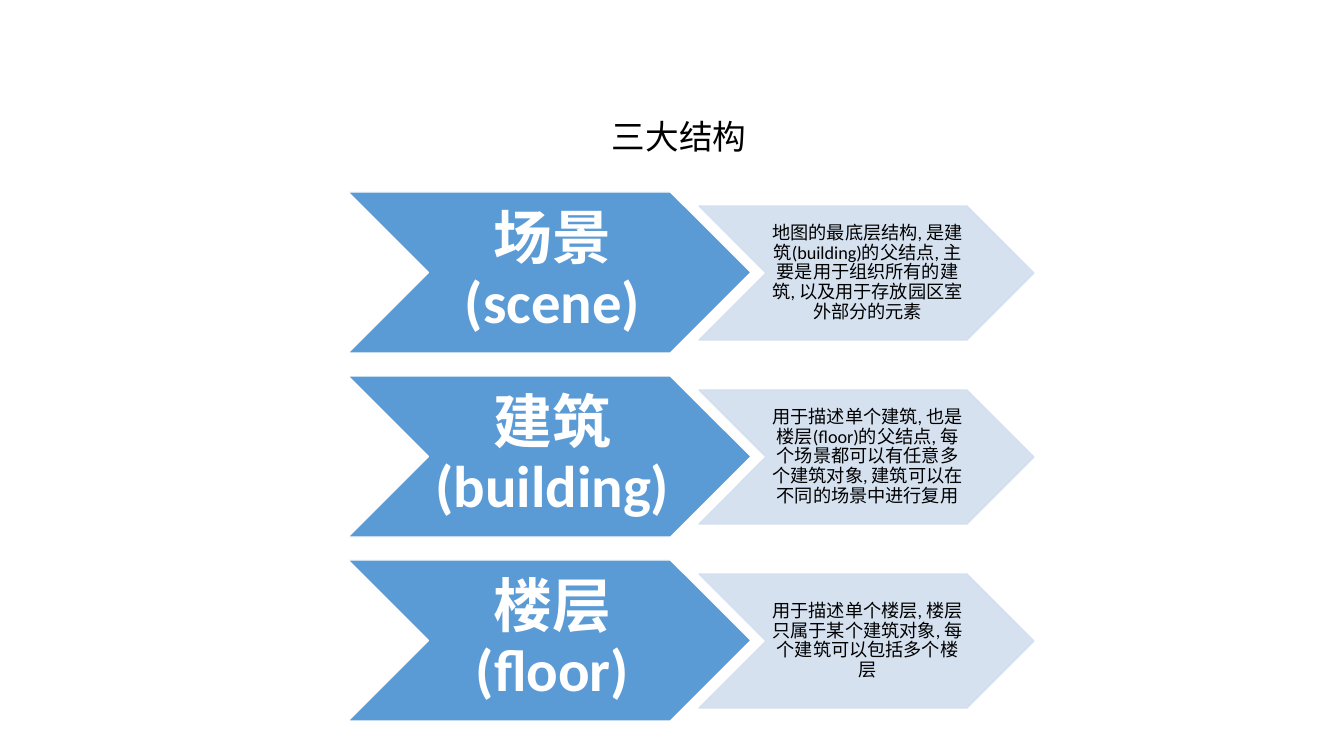
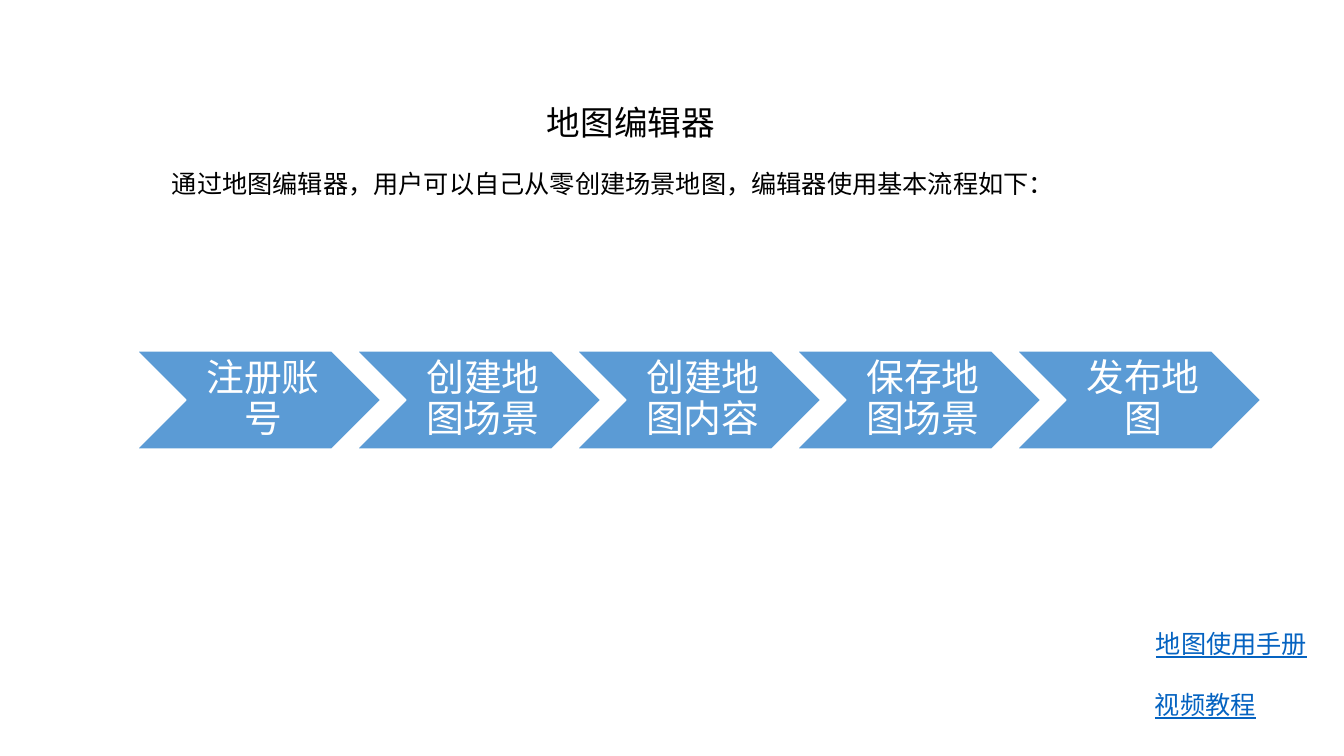
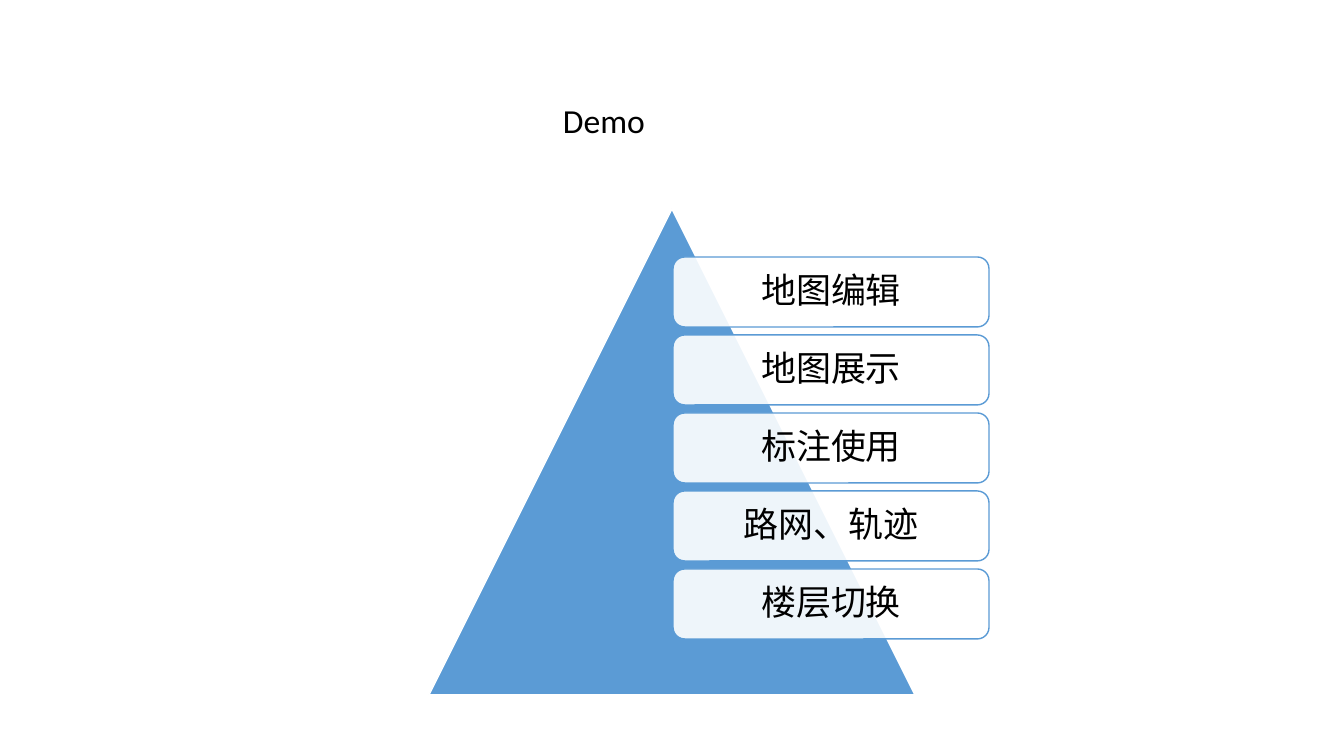
"""Build three slides on map structure, the map editor and the demo."""
from lxml.etree import SubElement
from pptx import Presentation
from pptx.dml.color import RGBColor
from pptx.enum.shapes import MSO_SHAPE
from pptx.enum.text import MSO_ANCHOR, MSO_AUTO_SIZE, PP_ALIGN
from pptx.oxml.ns import qn
from pptx.util import Pt

PX = 914400 / 100.8
FONT = "Calibri"
BLUE, PALE, WHITE, BLACK, LINK = "5B9BD5", "D2DEEF", "FFFFFF", "000000", "0563C1"


def add_text(page, at, text, size=18, color=BLACK, underline=None):
    box = page.shapes.add_textbox(*[round(length * PX) for length in at])
    box.text_frame.word_wrap = False
    box.text_frame.auto_size = MSO_AUTO_SIZE.SHAPE_TO_FIT_TEXT
    box.text_frame.text = text
    font = box.text_frame.paragraphs[0].runs[0].font
    font.name, font.size, font.underline = FONT, Pt(size), underline
    font.color.rgb = RGBColor.from_string(color)


def add_block(page, kind, at, fill, line, text="", size=18, color=WHITE,
              insets=(0, 0, 0, 0), bold=None, see_through=()):
    block = page.shapes.add_shape(kind, *[round(length * PX) for length in at])
    block.shadow.inherit = False
    block.fill.solid()
    block.fill.fore_color.rgb = RGBColor.from_string(fill)
    block.line.color.rgb = RGBColor.from_string(line)
    block.line.width = Pt(1)
    paints = {"fill": block.fill, "line": block.line.fill}
    for part in see_through:
        root = block.line._get_or_add_ln() if part == "line" else block._element.spPr
        paint = root.find(qn("a:solidFill")).find(qn("a:srgbClr"))
        SubElement(paint, qn("a:alpha"), val="90000")
    if text:
        frame = block.text_frame
        frame.word_wrap = True
        frame.vertical_anchor = MSO_ANCHOR.MIDDLE
        frame.margin_left, frame.margin_top, frame.margin_right, frame.margin_bottom = [
            round(inset * PX) for inset in insets]
        frame.text = text
        para = frame.paragraphs[0]
        para.alignment = PP_ALIGN.CENTER
        para.line_spacing = 0.9
        font = para.runs[0].font
        font.name, font.size, font.bold = FONT, Pt(size), bold
        font.color.rgb = RGBColor.from_string(color)


deck = Presentation()
deck.slide_width, deck.slide_height = round(1344 * PX), round(756 * PX)
blank = deck.slide_layouts[6]

page = deck.slides.add_slide(blank)
add_text(page, (602, 111, 156, 50), "三大结构", 24)
structures = [
    ("场景(scene)", "地图的最底层结构, 是建筑(building)的父结点, 主要是用于组织所有的建筑, 以及用于存放园区室外部分的元素"),
    ("建筑(building)", "用于描述单个建筑, 也是楼层(floor)的父结点, 每个场景都可以有任意多个建筑对象, 建筑可以在不同的场景中进行复用"),
    ("楼层(floor)", "用于描述单个楼层, 楼层只属于某个建筑对象, 每个建筑可以包括多个楼层"),
]
for row, (name, description) in enumerate(structures):
    top = 192 + 184 * row
    add_block(page, MSO_SHAPE.CHEVRON, (348, top, 403, 161), BLUE, WHITE,
              name, 42, insets=(6, 3, 0, 3), bold=True)
    add_block(page, MSO_SHAPE.CHEVRON, (699, top + 14, 335, 134), PALE, PALE,
              description, 13, BLACK, (2, 1, 0, 1), see_through=("fill", "line"))

page = deck.slides.add_slide(blank)
add_text(page, (537, 97, 190, 50), "地图编辑器", 24)
add_text(page, (1146, 623, 173, 40), "地图使用手册", color=LINK, underline=True)
add_text(page, (1145, 684, 173, 40), "视频教程", color=LINK, underline=True)
add_text(page, (162, 163, 916, 40), "通过地图编辑器，用户可以自己从零创建场景地图，编辑器使用基本流程如下：")
steps = ["注册账号", "创建地图场景", "创建地图内容", "保存地图场景", "发布地图"]
for column, step in enumerate(steps):
    add_block(page, MSO_SHAPE.CHEVRON, (137 + 220 * column, 351, 244, 98), BLUE, WHITE,
              step, 27, insets=(12, 4, 4, 4))

page = deck.slides.add_slide(blank)
add_text(page, (553, 95, 103, 50), "Demo", 24)
add_block(page, MSO_SHAPE.ISOSCELES_TRIANGLE, (429, 209, 486, 486), BLUE, WHITE)
topics = ["地图编辑", "地图展示", "标注使用", "路网、轨迹", "楼层切换"]
for row, topic in enumerate(topics):
    add_block(page, MSO_SHAPE.ROUNDED_RECTANGLE, (673, 257 + 78 * row, 316, 70), WHITE, BLUE,
              topic, 25, BLACK, (10, 10, 10, 10), see_through=("fill",))

deck.save("out.pptx")
